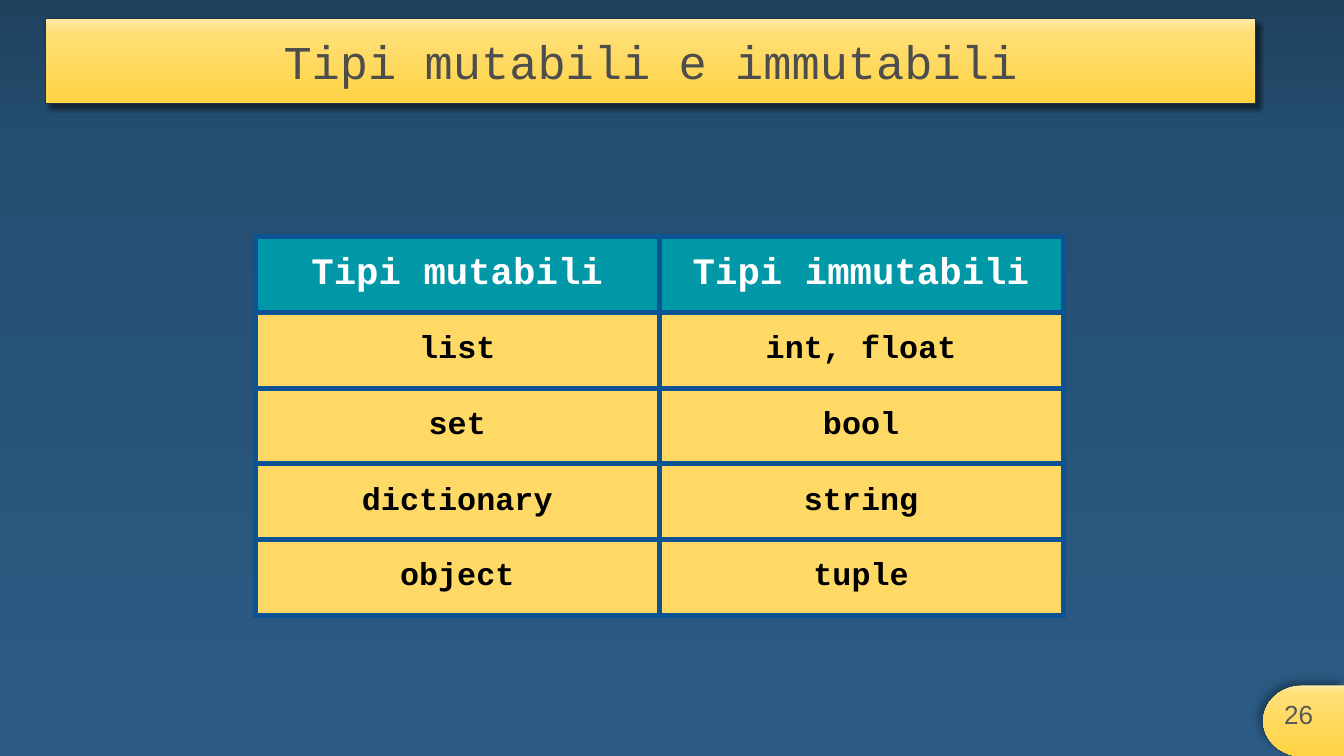
from dataclasses import dataclass

from lxml import etree
from pptx import Presentation
from pptx.dml.color import RGBColor
from pptx.enum.shapes import MSO_SHAPE
from pptx.enum.text import MSO_ANCHOR, PP_ALIGN
from pptx.oxml.ns import qn
from pptx.util import Inches, Pt

RECTANGLE = MSO_SHAPE.RECTANGLE
DELAY = MSO_SHAPE.FLOWCHART_DELAY
CENTER = PP_ALIGN.CENTER
RIGHT = PP_ALIGN.RIGHT
MIDDLE = MSO_ANCHOR.MIDDLE


@dataclass(frozen=True)
class Theme:
    """Colours, fonts and type sizes of the slide."""
    background: tuple = ((0, "1E415E"), (20, "254E71"), (100, "2B5B84"))
    banner: tuple = ((0, "FFEBA9"), (17, "FFDF76"), (100, "FFD343"))
    tab: tuple = ((0, "FFEBA9"), (11, "FFDF76"), (100, "FFD343"))
    outline: str = "18334B"
    shadow: str = "000000"
    title: str = "4D4D4D"
    number: str = "595959"
    border: str = "0B5394"
    header_fill: str = "0097A7"
    header_text: str = "FFFFFF"
    body_fill: str = "FFD966"
    body_text: str = "000000"
    code_font: str = "Courier New"
    number_font: str = "Arial"
    title_size: float = 25.2
    header_size: float = 20
    body_size: float = 17
    number_size: float = 14
    border_width: float = 3


THEME = Theme()
ROWS = (
    ("Tipi mutabili", "Tipi immutabili"),
    ("list", "int, float"),
    ("set", "bool"),
    ("dictionary", "string"),
    ("object", "tuple"),
)


def add_color(parent, color):
    """Append an sRGB colour element and return it."""
    return etree.SubElement(parent, qn("a:srgbClr"), val=color)


def set_gradient(fill, element, stops):
    """Give a fill a top-to-bottom gradient with any number of stops."""
    fill.gradient()
    fill.gradient_angle = 270
    stop_list = next(element.iter(qn("a:gsLst")))
    for stop in list(stop_list):
        stop_list.remove(stop)
    for position, color in stops:
        add_color(etree.SubElement(stop_list, qn("a:gs"), pos=str(position * 1000)), color)


def set_shadow(shape, opacity, blur, distance, angle):
    """Give a shape one outer shadow."""
    shape.shadow.inherit = False
    effects = next(shape.element.iter(qn("a:effectLst")))
    shadow = etree.SubElement(
        effects, qn("a:outerShdw"), blurRad=str(Pt(blur)), dist=str(Pt(distance)),
        dir=str(angle * 60000), algn="bl", rotWithShape="0")
    etree.SubElement(add_color(shadow, THEME.shadow), qn("a:alpha"), val=str(opacity * 1000))


def set_text(frame, text, font_name, size, color, alignment=CENTER, bold=False):
    """Write one formatted paragraph into a text frame."""
    paragraph = frame.paragraphs[0]
    paragraph.text = text
    paragraph.alignment = alignment
    font = paragraph.font
    font.name, font.size, font.bold = font_name, Pt(size), bold
    font.color.rgb = RGBColor.from_string(color)


def set_box(box):
    """Centre vertically and inset a text frame or table cell evenly."""
    box.vertical_anchor = MIDDLE
    box.margin_left = box.margin_right = Inches(0.1)
    box.margin_top = box.margin_bottom = Inches(0.1)


def add_title(slide, left, top, width, height):
    """Add the title banner."""
    banner = slide.shapes.add_shape(RECTANGLE, left, top, width, height)
    set_gradient(banner.fill, banner.element, THEME.banner)
    banner.line.color.rgb = RGBColor.from_string(THEME.outline)
    banner.line.width = Pt(0.75)
    set_shadow(banner, 49, 2.2, 3, 50)
    set_box(banner.text_frame)
    banner.text_frame.word_wrap = True
    set_text(banner.text_frame, "Tipi mutabili e immutabili",
             THEME.code_font, THEME.title_size, THEME.title)


def add_page_number(slide, left, top, width, height):
    """Add the corner tab and the page number over it."""
    tab = slide.shapes.add_shape(DELAY, left, top, width, height)
    next(tab.element.iter(qn("a:xfrm"))).set("flipH", "1")
    set_gradient(tab.fill, tab.element, THEME.tab)
    tab.line.fill.background()
    set_shadow(tab, 32, 4.5, 3, 216)
    number = slide.shapes.add_textbox(left - Inches(0.13), top, width, Inches(0.43))
    set_box(number.text_frame)
    number.text_frame.word_wrap = True
    set_text(number.text_frame, "26", THEME.number_font, THEME.number_size,
             THEME.number, RIGHT)


def style_cell(cell, text, fill, color, size):
    """Fill, border and write one table cell."""
    set_box(cell)
    set_text(cell.text_frame, text, THEME.code_font, size, color, bold=True)
    properties = cell._tc.get_or_add_tcPr()
    for side in ("L", "R", "T", "B"):
        line = etree.SubElement(properties, qn(f"a:ln{side}"), w=str(Pt(THEME.border_width)))
        add_color(etree.SubElement(line, qn("a:solidFill")), THEME.border)
    cell.fill.solid()
    cell.fill.fore_color.rgb = RGBColor.from_string(fill)


def add_types_table(slide, left, top, width, height):
    """Add the table of mutable and immutable types."""
    table = slide.shapes.add_table(len(ROWS), len(ROWS[0]), left, top, width, height).table
    header = (THEME.header_fill, THEME.header_text, THEME.header_size)
    body = (THEME.body_fill, THEME.body_text, THEME.body_size)
    for row_index, row in enumerate(ROWS):
        style = body if row_index else header
        for column_index, text in enumerate(row):
            style_cell(table.cell(row_index, column_index), text, *style)


def main():
    """Build and save the slide."""
    presentation = Presentation()
    presentation.slide_width = Inches(10)
    presentation.slide_height = presentation.slide_width * 9 // 16
    slide = presentation.slides.add_slide(presentation.slide_layouts[6])
    set_gradient(slide.background.fill, slide.element, THEME.background)
    add_page_number(slide, Inches(9.4), Inches(5.1), Inches(0.6), Inches(0.53))
    add_title(slide, Inches(0.34), Inches(0.14), Inches(9), Inches(0.63))
    add_types_table(slide, Inches(1.9), Inches(1.76), Inches(6.01), Inches(2.82))
    presentation.save("out.pptx")


if __name__ == "__main__":
    main()
